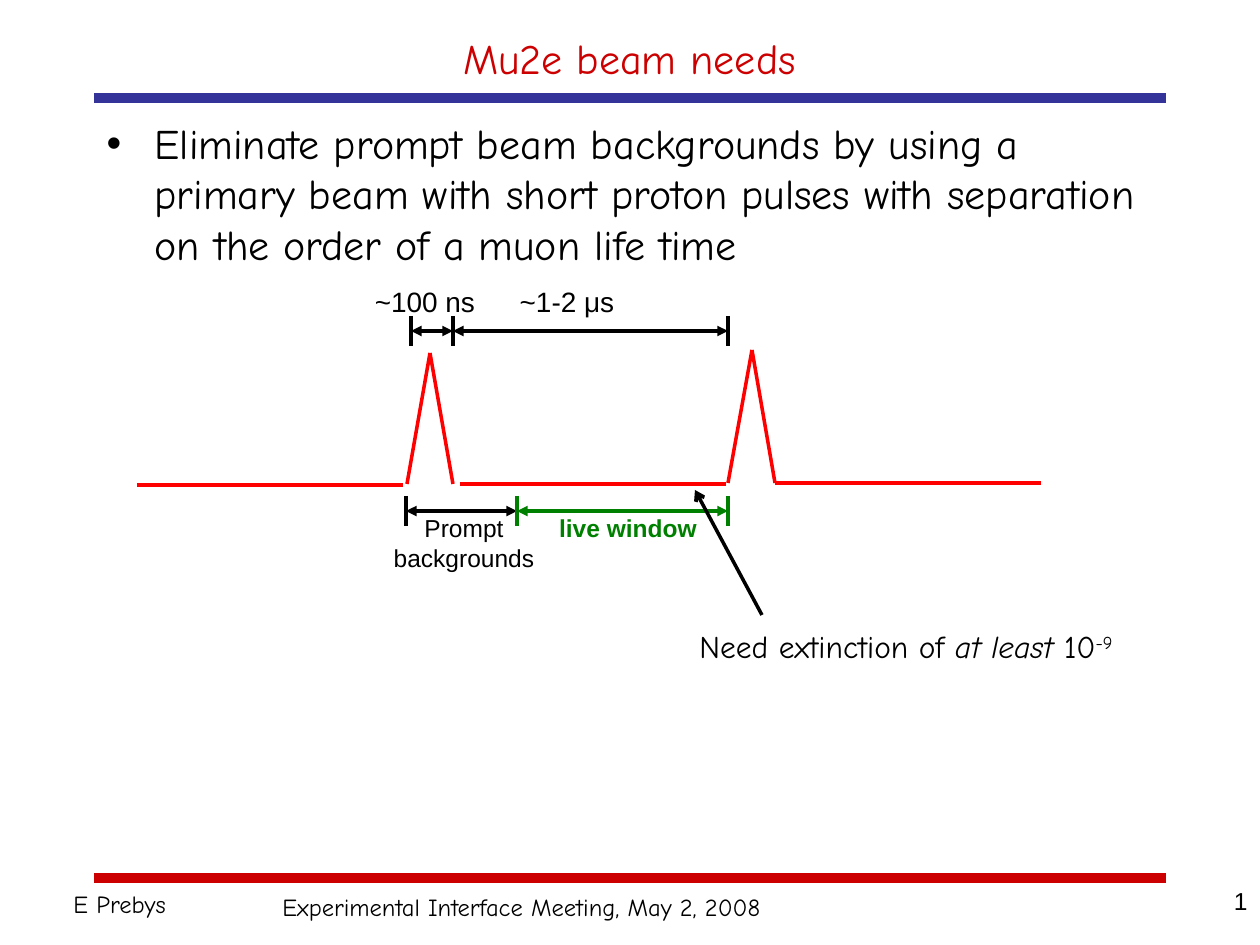
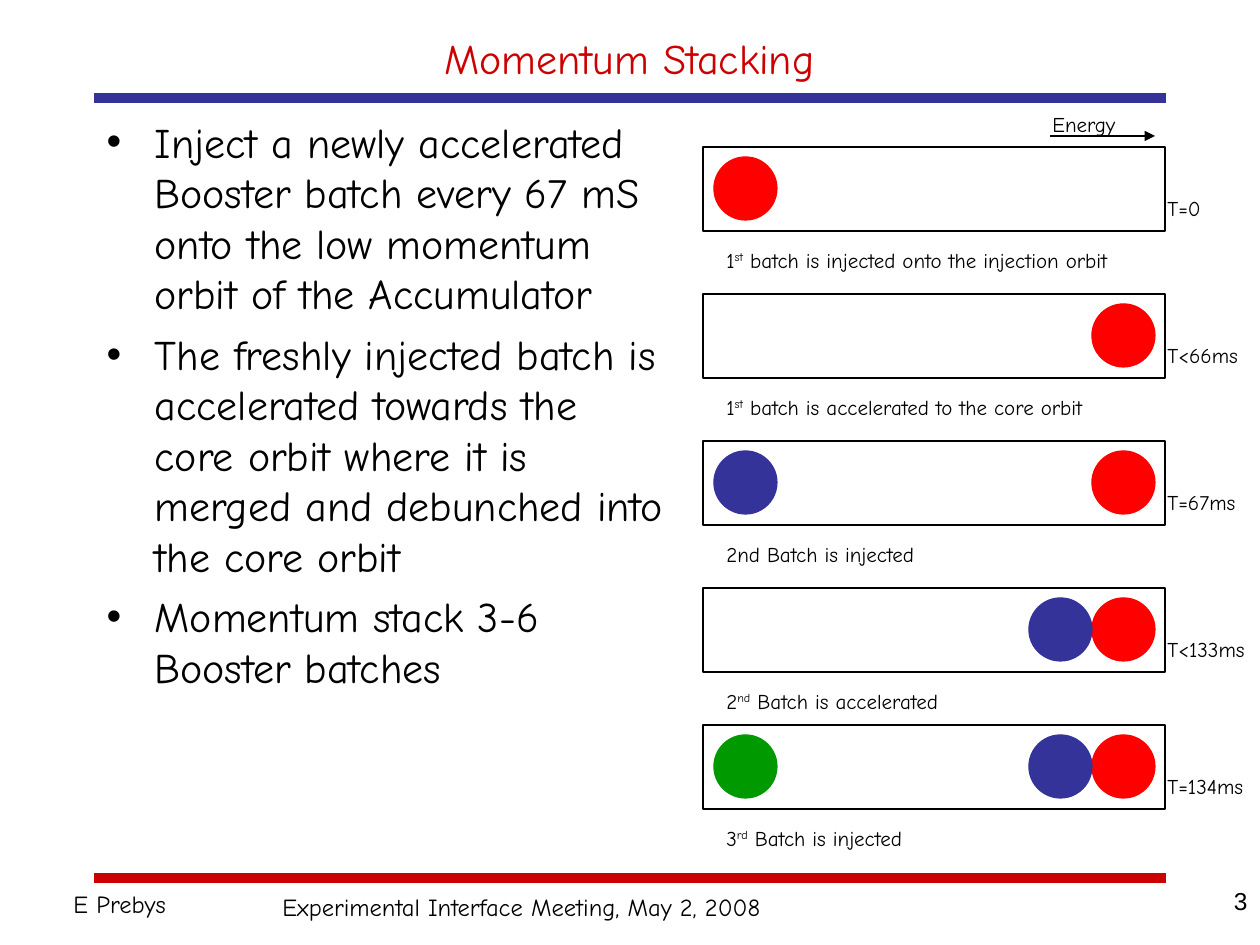
from dataclasses import dataclass

from lxml import etree
from pptx import Presentation
from pptx.dml.color import RGBColor
from pptx.enum.shapes import MSO_CONNECTOR, MSO_SHAPE
from pptx.enum.text import MSO_ANCHOR, MSO_AUTO_SIZE, PP_ALIGN
from pptx.oxml.ns import qn
from pptx.util import Inches, Pt

LEFT, MID, RIGHT = PP_ALIGN.LEFT, PP_ALIGN.CENTER, PP_ALIGN.RIGHT
TOP, CENTRE = MSO_ANCHOR.TOP, MSO_ANCHOR.MIDDLE
FIXED = MSO_AUTO_SIZE.NONE
STRAIGHT = MSO_CONNECTOR.STRAIGHT
RECT, OVAL = MSO_SHAPE.RECTANGLE, MSO_SHAPE.OVAL

BLACK = RGBColor(0, 0, 0)
RED = RGBColor(0xFF, 0, 0)
CRIMSON = RGBColor(0xCC, 0, 0)
BLUE = RGBColor(0x33, 0x33, 0x99)
GREEN = RGBColor(0, 0x80, 0)
LEAF = RGBColor(0, 0x99, 0)
HAND, SANS = "Comic Neue", "Arial"

SCALE = 914400 / 126  # EMU in one px
INDENT = 48
TICK = 15

# A run is plain text or a (text, style) pair; a paragraph is a list of runs.
SUP, SLANT = "sup", "slant"


@dataclass(frozen=True)
class Line:
    x1: int
    y1: int
    x2: int
    y2: int
    color: RGBColor = BLACK
    width: float = 0
    head: str = ""
    tail: str = ""


@dataclass(frozen=True)
class Span:
    left: int
    right: int
    y: int
    color: RGBColor = BLACK


@dataclass(frozen=True)
class Label:
    box: tuple[int, int, int, int]
    words: str
    size: int
    color: RGBColor = BLACK
    bold: bool = False


@dataclass(frozen=True)
class Stage:
    top: int
    time: str
    note: list
    balls: list


def px(n: float) -> int:
    return round(n * SCALE)


def write(frame, paras: list, *, size: int, font: str = HAND,
          color: RGBColor = BLACK, bold: bool = False, align=LEFT,
          anchor=TOP, gap: int = 0, indent: int = 0) -> None:
    """Fill a text frame with formatted paragraphs."""
    frame.word_wrap = True
    frame.auto_size = FIXED
    frame.vertical_anchor = anchor
    for i, runs in enumerate(paras):
        para = frame.add_paragraph() if i else frame.paragraphs[0]
        para.alignment = align
        para.space_before = Pt(gap if i else 0)
        if indent:
            props = para._p.get_or_add_pPr()
            props.set("marL", str(px(indent)))
            props.set("indent", str(-px(indent)))
        for part in runs:
            words, style = (part, "") if isinstance(part, str) else part
            run = para.add_run()
            run.text = words
            run.font.name, run.font.size = font, Pt(size)
            run.font.bold, run.font.italic = bold, style == SLANT
            run.font.color.rgb = color
            if style == SUP:
                run._r.get_or_add_rPr().set("baseline", "30000")


def add_text(slide, box: tuple, runs: list, **form) -> None:
    shape = slide.shapes.add_textbox(*map(px, box))
    write(shape.text_frame, [runs], **form)


def add_line(slide, line: Line) -> None:
    ends = map(px, (line.x1, line.y1, line.x2, line.y2))
    shape = slide.shapes.add_connector(STRAIGHT, *ends)
    shape.line.color.rgb = line.color
    shape.line.width = Pt(line.width)
    stroke = shape.line._get_or_add_ln()
    for tag, kind in (("a:headEnd", line.head), ("a:tailEnd", line.tail)):
        if kind:
            etree.SubElement(stroke, qn(tag)).set("type", kind)
    etree.SubElement(shape._element.spPr, qn("a:effectLst"))


def add_span(slide, span: Span) -> None:
    """Draw a double arrow with a tick at its right end."""
    add_line(slide, Line(span.right, span.y - TICK, span.right,
                         span.y + TICK, span.color))
    add_line(slide, Line(span.left, span.y, span.right, span.y, span.color,
                         head="triangle", tail="triangle"))


def add_form(slide, kind, box: tuple, fill=None) -> None:
    shape = slide.shapes.add_shape(kind, *map(px, box))
    shape.shadow.inherit = False
    shape.line.width = Pt(0.75)
    shape.line.color.rgb = fill or BLACK
    if fill:
        shape.fill.solid()
        shape.fill.fore_color.rgb = fill
    else:
        shape.fill.background()


def place(shape, box: tuple) -> None:
    shape.left, shape.top, shape.width, shape.height = map(px, box)


# Shared frame: bands, footer, title and list
def add_slide(deck, title: str, number: str, area: tuple, points: list):
    slide = deck.slides.add_slide(deck.slide_layouts[1])
    for y, color in ((878, CRIMSON), (98, BLUE)):
        add_line(slide, Line(94, y, 1166, y, color, 6))
    add_text(slide, (270, 886, 520, 43),
             ["Experimental Interface Meeting, May 2, 2008"], size=14)
    add_text(slide, (61, 883, 200, 43), ["E Prebys"], size=14)
    add_text(slide, (966, 880, 294, 65), [number],
             size=14, font=SANS, align=RIGHT)
    head, body = slide.placeholders
    place(head, (94, 21, 1071, 73))
    write(head.text_frame, [[title]], size=24, color=CRIMSON,
          align=MID, anchor=CENTRE)
    place(body, area)
    write(body.text_frame, [[p] for p in points], size=24, gap=6,
          indent=INDENT)
    return slide


# Slide 1: pulse train
TRACE = [
    (137, 485, 403, 485), (407, 484, 430, 353), (430, 353, 453, 484),
    (460, 484, 726, 484), (728, 483, 752, 350), (752, 350, 775, 483),
    (775, 483, 1041, 483),
]
SPANS = [Span(411, 453, 331), Span(453, 728, 331),
         Span(406, 517, 511), Span(517, 728, 511, GREEN)]
STARTS = [(411, 331, BLACK), (406, 511, BLACK), (517, 511, GREEN)]
LABELS = [
    Label((348, 278, 154, 47), "~100 ns", 16),
    Label((490, 278, 154, 47), "~1-2 μs", 16),
    Label((374, 507, 180, 72), "Prompt backgrounds", 14),
    Label((538, 507, 180, 43), "live window", 14, GREEN, True),
]


def draw_beam(deck) -> None:
    slide = add_slide(deck, "Mu2e beam needs", "1", (94, 111, 1071, 297), [
        "Eliminate prompt beam backgrounds by using a primary beam with "
        "short proton pulses with separation on the order of a muon life "
        "time"])
    for ends in TRACE:
        add_line(slide, Line(*ends, RED))
    for span in SPANS:
        add_span(slide, span)
    for x, y, color in STARTS:
        add_line(slide, Line(x, y - TICK, x, y + TICK, color))
    for label in LABELS:
        add_text(slide, label.box, [label.words], size=label.size, font=SANS,
                 color=label.color, bold=label.bold, align=MID)
    add_text(slide, (687, 621, 518, 50),
             ["Need extinction of ", ("at least ", SLANT), "10",
              ("-9", SUP)], size=18)
    add_line(slide, Line(762, 615, 695, 490, tail="arrow"))


# Slide 2: batches moving through the orbits
BALL = 63
LOW, CORE = 714, 1092
NEXT = CORE - BALL
STEP, FIRST = 147, 147
STAGES = [
    Stage(FIRST, "T=0",
          ["1", ("st", SUP), " batch is injected onto the injection orbit"],
          [(LOW, RED)]),
    Stage(FIRST + STEP, "T<66ms",
          ["1", ("st", SUP), " batch is accelerated to the core orbit"],
          [(CORE, RED)]),
    Stage(FIRST + 2 * STEP, "T=67ms", ["2nd Batch is injected"],
          [(CORE, RED), (LOW, BLUE)]),
    Stage(FIRST + 3 * STEP, "T<133ms",
          ["2", ("nd", SUP), " Batch is accelerated"],
          [(CORE, RED), (NEXT, BLUE)]),
    Stage(725, "T=134ms", ["3", ("rd", SUP), " Batch is injected"],
          [(CORE, RED), (NEXT, BLUE), (LOW, LEAF)]),
]


def add_stage(slide, stage: Stage) -> None:
    add_form(slide, RECT, (703, stage.top, 462, 84))
    for x, color in stage.balls:
        add_form(slide, OVAL, (x, stage.top + 10, BALL, BALL), color)
    add_text(slide, (1155, stage.top + 42, 105, 38), [stage.time], size=12)
    add_text(slide, (714, stage.top + 94, 494, 38), stage.note, size=12)


def draw_stack(deck) -> None:
    slide = add_slide(deck, "Momentum Stacking", "3", (94, 110, 588, 761), [
        "Inject a newly accelerated Booster batch every 67 mS onto the low "
        "momentum orbit of the Accumulator",
        "The freshly injected batch is accelerated towards the core orbit "
        "where it is merged and debunched into the core orbit",
        "Momentum stack 3-6 Booster batches"])
    for stage in STAGES:
        add_stage(slide, stage)
    add_line(slide, Line(1050, 136, 1155, 136, width=0.75, tail="triangle"))
    add_text(slide, (1040, 105, 105, 38), ["Energy"], size=12)


def main() -> None:
    deck = Presentation()
    deck.slide_width, deck.slide_height = Inches(10), Inches(7.5)
    draw_beam(deck)
    draw_stack(deck)
    deck.save("out.pptx")


if __name__ == "__main__":
    main()
